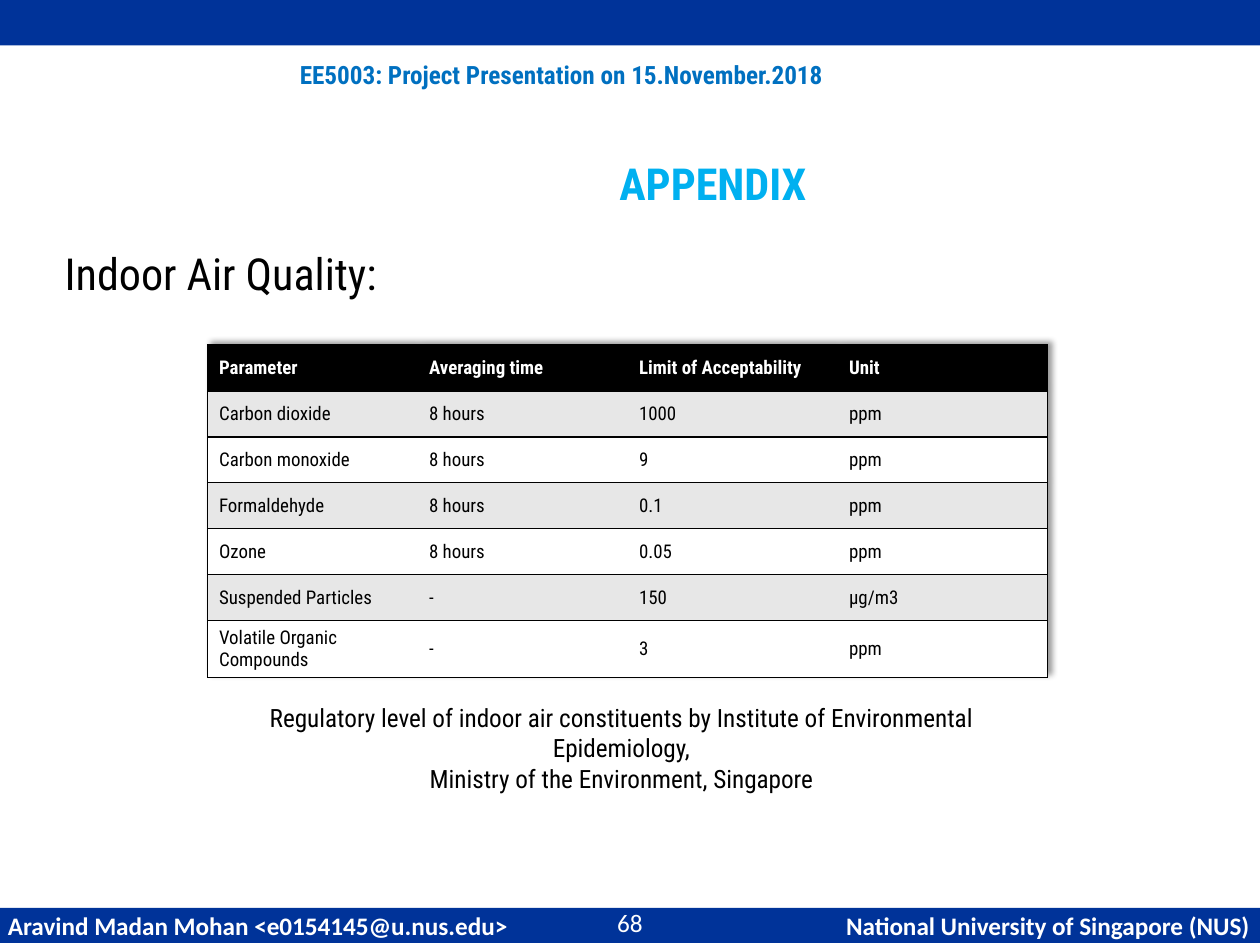
"""Build the appendix slide with the indoor air quality limits."""
from lxml import etree
from pptx import Presentation
from pptx.dml.color import RGBColor
from pptx.enum import shapes, text
from pptx.oxml import ns
from pptx.util import Inches, Pt

NAVY = RGBColor(0x00, 0x33, 0x99)
BLUE = RGBColor(0x00, 0x70, 0xC0)
SKY = RGBColor(0x00, 0xB0, 0xF0)
GREY = RGBColor(0xE7, 0xE7, 0xE7)
BLACK = RGBColor(0, 0, 0)
WHITE = RGBColor(0xFF, 0xFF, 0xFF)
CONDENSED = "Roboto Condensed"
CENTER = text.PP_ALIGN.CENTER
MIDDLE = text.MSO_ANCHOR.MIDDLE


def write(text_frame, content, size, color, bold=False, align=None, font=CONDENSED):
    text_frame.text = content
    text_frame.word_wrap = True
    for paragraph in text_frame.paragraphs:
        paragraph.alignment = align
        paragraph.space_before = Pt(0)
        for run in paragraph.runs:
            run.font.name = font
            run.font.size = Pt(size)
            run.font.bold = bold
            run.font.color.rgb = color


def add_child(parent, tag, **attributes):
    return etree.SubElement(parent, ns.qn(tag), attributes)


presentation = Presentation()
presentation.slide_width = Inches(11.1)
presentation.slide_height = Inches(8.31)
slide = presentation.slides.add_slide(presentation.slide_layouts[1])

bars = []
for top, height in ((0, 0.4), (8, 0.31)):
    bar = slide.shapes.add_shape(
        shapes.MSO_SHAPE.RECTANGLE, 0, Inches(top), Inches(11.1), Inches(height))
    bar.shadow.inherit = False
    bar.fill.solid()
    bar.fill.fore_color.rgb = NAVY
    bar.line.fill.background()
    bars.append(bar)

footer = bars[1].text_frame
footer.margin_left = Inches(0.07)
footer.margin_right = Inches(0.05)
footer.margin_top = footer.margin_bottom = 0
footer.vertical_anchor = MIDDLE
write(footer, "Aravind Madan Mohan <e0154145@u.nus.edu>\tNational University of Singapore (NUS)",
      16, WHITE, True, text.PP_ALIGN.LEFT, "Calibri")
tab_list = add_child(footer.paragraphs[0]._p.get_or_add_pPr(), "a:tabLst")
add_child(tab_list, "a:tab", pos=str(Inches(10.94)), algn="r")

header = slide.shapes.add_textbox(Inches(0.55), Inches(0.47), Inches(8.79), Inches(0.37))
write(header.text_frame, "EE5003: Project Presentation on 15.November.2018", 16, BLUE, True, CENTER)

number = slide.shapes.add_textbox(Inches(4.85), Inches(8.01), Inches(1.4), Inches(0.24))
number.text_frame.margin_top = number.text_frame.margin_bottom = 0
number.text_frame.vertical_anchor = MIDDLE
write(number.text_frame, "68", 16, WHITE, False, CENTER, "Calibri")

title = slide.shapes.title
title.left, title.top, title.width, title.height = (
    Inches(0.46), Inches(1.29), Inches(10.02), Inches(0.65))
title.fill.solid()
title.fill.fore_color.rgb = WHITE
title.text_frame.margin_left = Inches(1.72)
title.text_frame.margin_top = title.text_frame.margin_bottom = 0
title.text_frame.vertical_anchor = MIDDLE
title.text_frame.auto_size = text.MSO_AUTO_SIZE.NONE
write(title.text_frame, "APPENDIX", 28, SKY, True, CENTER)

body = slide.placeholders[1]
body.left, body.top, body.width, body.height = (
    Inches(0.46), Inches(2.11), Inches(10.01), Inches(5.58))
body.text_frame.margin_left = body.text_frame.margin_right = Inches(0.11)
body.text_frame.margin_top = body.text_frame.margin_bottom = Inches(0.06)
body.text_frame.auto_size = text.MSO_AUTO_SIZE.NONE
write(body.text_frame, "Indoor Air Quality:", 28, BLACK, align=text.PP_ALIGN.JUSTIFY)
heading_properties = body.text_frame.paragraphs[0]._p.get_or_add_pPr()
heading_properties.set("marL", "0")
heading_properties.set("indent", "0")
add_child(heading_properties, "a:buNone")

limits = [
    ("Parameter", "Averaging time", "Limit of Acceptability", "Unit"),
    ("Carbon dioxide", "8 hours", "1000", "ppm"),
    ("Carbon monoxide", "8 hours", "9", "ppm"),
    ("Formaldehyde", "8 hours", "0.1", "ppm"),
    ("Ozone", "8 hours", "0.05", "ppm"),
    ("Suspended Particles", "-", "150", "µg/m3"),
    ("Volatile Organic Compounds", "-", "3", "ppm"),
]
last_column = len(limits[0]) - 1
table = slide.shapes.add_table(
    len(limits), len(limits[0]), Inches(1.83), Inches(3.04), Inches(7.4), Inches(2.93)).table
table_properties = table._tbl.tblPr
table_properties.find(ns.qn("a:tableStyleId")).text = "{2D5ABB26-0587-4C30-8999-92F81FD0307C}"
effects = add_child(table_properties, "a:effectLst")
table_properties.insert(0, effects)
shadow = add_child(effects, "a:outerShdw", blurRad="50800", dist="38100",
                   dir="18900000", algn="bl", rotWithShape="0")
shadow_color = add_child(shadow, "a:srgbClr", val=str(BLACK))
add_child(shadow_color, "a:alpha", val="40000")

for row, values in enumerate(limits):
    table.rows[row].height = Inches(0.5) if row == len(limits) - 1 else Inches(2.43 / 6)
    for column, value in enumerate(values):
        cell = table.cell(row, column)
        cell.vertical_anchor = MIDDLE
        write(cell.text_frame, value, 12, BLACK if row else WHITE, row == 0)
        edges = {"a:lnL": column == 0, "a:lnR": column == last_column,
                 "a:lnT": True, "a:lnB": True}
        for edge, visible in edges.items():
            if visible:
                line = add_child(cell._tc.get_or_add_tcPr(), edge, w=str(Pt(1)))
                line_fill = add_child(line, "a:solidFill")
                add_child(line_fill, "a:srgbClr", val=str(BLACK))
        cell.fill.solid()
        cell.fill.fore_color.rgb = BLACK if row == 0 else GREY if row % 2 else WHITE

caption = slide.shapes.add_textbox(Inches(1.71), Inches(6.14), Inches(7.53), Inches(0.64))
write(caption.text_frame,
      "Regulatory level of indoor air constituents by Institute of Environmental Epidemiology,\n"
      "Ministry of the Environment, Singapore", 16, BLACK, align=CENTER)

presentation.save("out.pptx")
